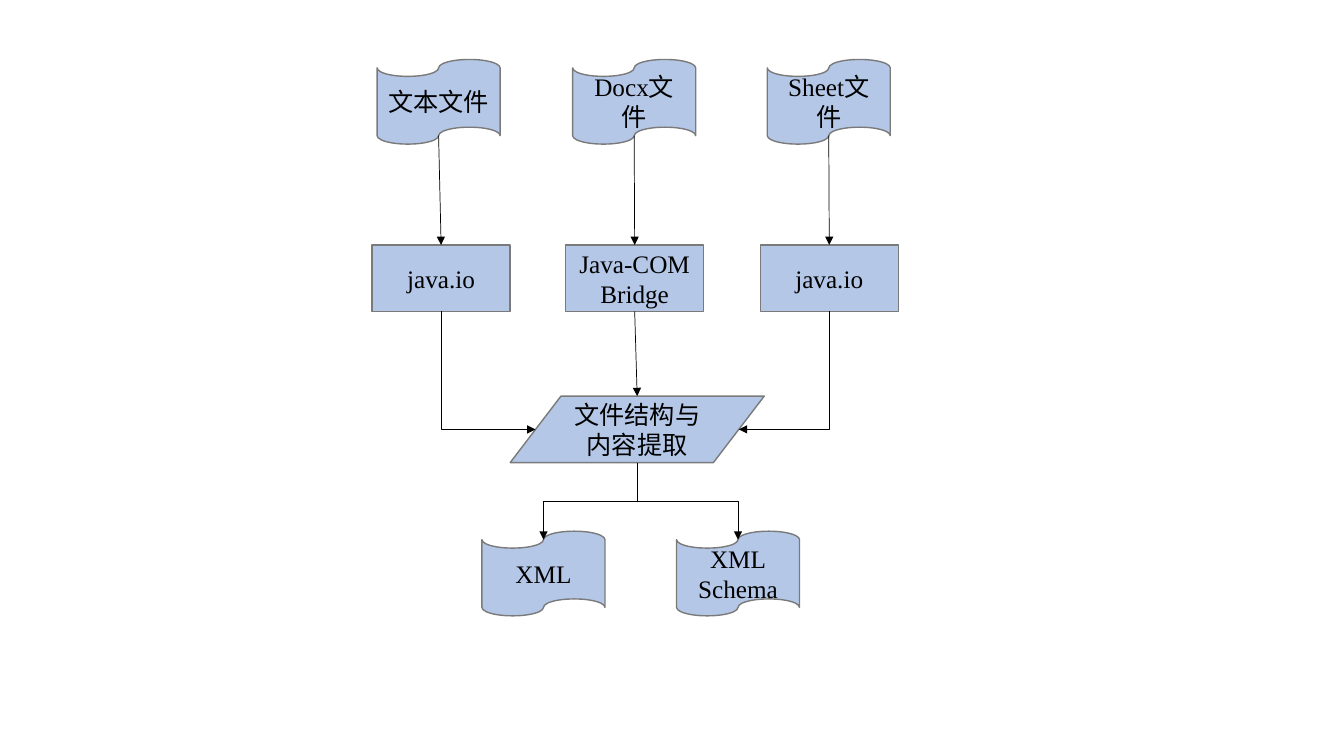
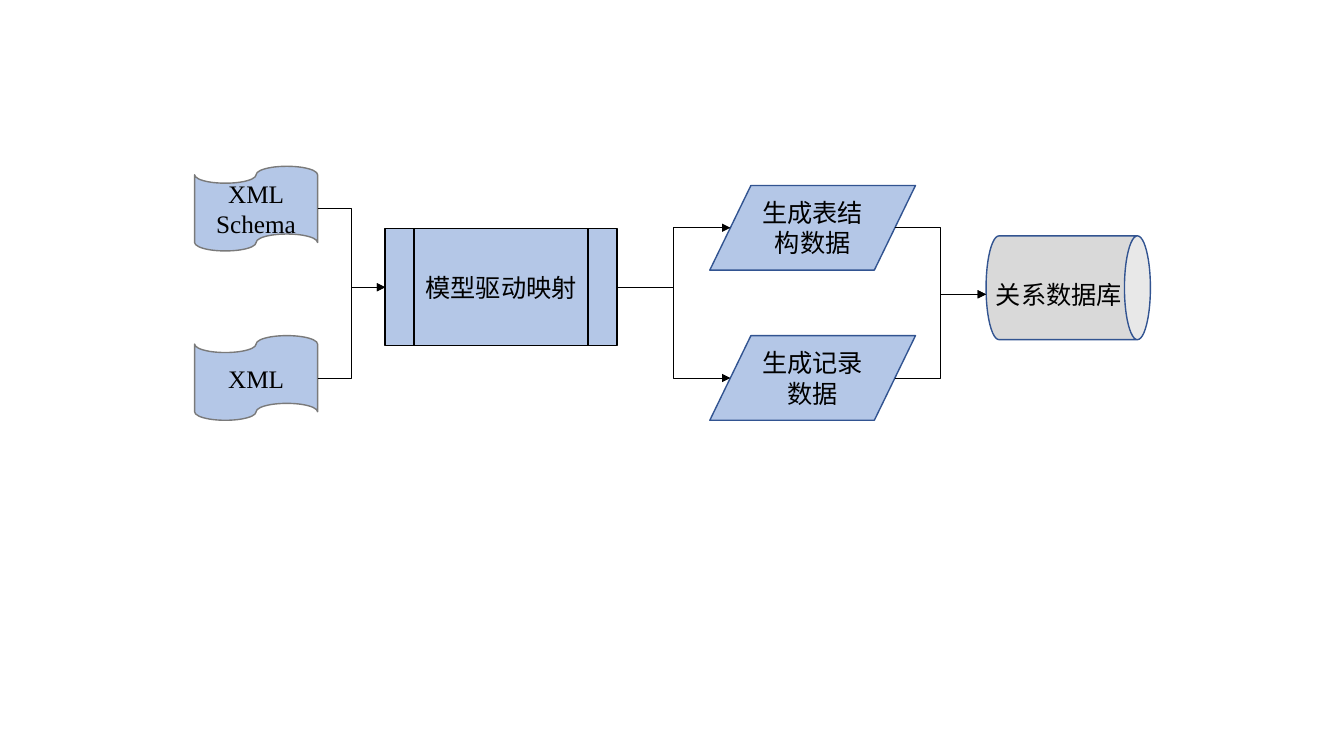
from lxml.etree import SubElement
from pptx import Presentation
from pptx.dml.color import RGBColor
from pptx.enum.shapes import MSO_CONNECTOR, MSO_SHAPE
from pptx.enum.text import MSO_ANCHOR, PP_ALIGN
from pptx.oxml.ns import qn
from pptx.util import Inches, Pt

FONT, SIZE = "Times New Roman", 18
BLUE, GREY, NAVY, BLACK, SILVER = "B4C7E7", "7A7A7A", "325491", "000000", "D9D9D9"

# kind: preset, width, height, outline, inset of side anchors, inset of top and bottom anchors
KINDS = {
    "file": (MSO_SHAPE.FLOWCHART_PUNCHED_TAPE, 1.22, 0.84, GREY, 0, 0.1),
    "reader": (MSO_SHAPE.RECTANGLE, 1.37, 0.66, GREY, 0, 0),
    "extract": (MSO_SHAPE.FLOWCHART_DATA, 2.52, 0.66, GREY, 0.1, 0),
    "output": (MSO_SHAPE.FLOWCHART_DATA, 2.04, 0.84, NAVY, 0.1, 0),
    "process": (MSO_SHAPE.FLOWCHART_PREDEFINED_PROCESS, 2.3, 1.16, BLACK, 0, 0),
}

# node: kind, text, left, top
EXTRACTION = {
    "text": ("file", "文本文件", 3.74, 0.59),
    "doc": ("file", "Docx文件", 5.68, 0.59),
    "sheet": ("file", "Sheet文件", 7.61, 0.59),
    "text_io": ("reader", "java.io", 3.69, 2.43),
    "bridge": ("reader", "Java-COM\nBridge", 5.61, 2.43),
    "sheet_io": ("reader", "java.io", 7.54, 2.43),
    "extract": ("extract", "文件结构与内容提取", 5.06, 3.93),
    "xml": ("file", "XML", 4.78, 5.27),
    "schema": ("file", "XML\nSchema", 6.71, 5.27),
}
# from node, side, to node, side
EXTRACTION_FLOWS = [
    ("text", "bottom", "text_io", "top"),
    ("doc", "bottom", "bridge", "top"),
    ("sheet", "bottom", "sheet_io", "top"),
    ("text_io", "bottom", "extract", "left"),
    ("bridge", "bottom", "extract", "top"),
    ("sheet_io", "bottom", "extract", "right"),
    ("extract", "bottom", "xml", "top"),
    ("extract", "bottom", "schema", "top"),
]

MAPPING = {
    "schema": ("file", "XML\nSchema", 1.93, 1.65),
    "xml": ("file", "XML", 1.93, 3.33),
    "tables": ("output", "生成表结构数据", 7.04, 1.84),
    "records": ("output", "生成记录数据", 7.04, 3.33),
    "mapping": ("process", "模型驱动映射", 3.82, 2.27),
}
MAPPING_FLOWS = [
    ("schema", "right", "mapping", "left"),
    ("xml", "right", "mapping", "left"),
    ("mapping", "right", "tables", "left"),
    ("mapping", "right", "records", "left"),
    ("tables", "right", "database", "left"),
    ("records", "right", "database", "left"),
]
DATABASE_TEXT = "关系数据库"
DATABASE_CAN = (10.08, 2.04, 1.03, 1.63)  # before its quarter turn
DATABASE_LABEL = (9.78, 2.72, 1.46, 0.4)


def rgb(color):
    return RGBColor.from_string(color)


def write(tf, text, align):
    tf.text = text
    for p in tf.paragraphs:
        p.alignment = align
        p.font.name, p.font.size = FONT, Pt(SIZE)
        p.font.color.rgb = rgb(BLACK)


def add_box(s, preset, box, fill, line):
    sp = s.shapes.add_shape(preset, *map(Inches, box))
    sp.shadow.inherit = False
    sp.fill.solid()
    sp.fill.fore_color.rgb = rgb(fill)
    sp.line.color.rgb = rgb(line)
    sp.line.width = Pt(1)
    return sp


def anchors(left, top, width, height, side_inset=0, end_inset=0):
    """Points where arrows meet a box; insets are shares of its size."""
    cx, cy = left + width / 2, top + height / 2
    dx, dy = width * side_inset, height * end_inset
    return {"left": (left + dx, cy), "right": (left + width - dx, cy),
            "top": (cx, top + dy), "bottom": (cx, top + height - dy)}


def add_nodes(s, nodes):
    points = {}
    for name, (kind, text, left, top) in nodes.items():
        preset, width, height, line, side_inset, end_inset = KINDS[kind]
        box = (left, top, width, height)
        sp = add_box(s, preset, box, BLUE, line)
        sp.text_frame.vertical_anchor = MSO_ANCHOR.MIDDLE
        write(sp.text_frame, text, PP_ALIGN.CENTER)
        points[name] = anchors(*box, side_inset, end_inset)
    return points


def add_arrow(s, start, end, out_side, in_side):
    """Draw straight down between centres, or bend where the route turns."""
    (x1, y1), (x2, y2) = start, end
    dx, dy = x2 - x1, y2 - y1
    downward = out_side == "bottom"
    straight = downward and abs(dx) < 0.1
    turned = downward and not straight
    if turned:  # lay the elbow out flat around its centre, then rotate it
        cx, cy = (x1 + x2) / 2, (y1 + y2) / 2
        half = dy / 2 if dx < 0 else -dy / 2
        x1, x2 = cx - half, cx + half
        y1, y2 = cy - abs(dx) / 2, cy + abs(dx) / 2
    kind = MSO_CONNECTOR.STRAIGHT if straight else MSO_CONNECTOR.ELBOW
    arrow = s.shapes.add_connector(kind, *map(Inches, (x1, y1, x2, y2)))
    arrow.line.color.rgb = rgb(BLACK)
    arrow.line.width = Pt(0.5)
    props = arrow.element.spPr
    if turned:
        degrees = 90 if dx < 0 else 270
        props.find(qn("a:xfrm")).set("rot", str(degrees * 60000))
        if in_side != "top":
            props.find(qn("a:prstGeom")).set("prst", "bentConnector2")
    SubElement(props.find(qn("a:ln")), qn("a:tailEnd"), type="triangle")
    SubElement(props, qn("a:effectLst"))


def add_flows(s, points, flows):
    for source, out_side, target, in_side in flows:
        add_arrow(s, points[source][out_side], points[target][in_side], out_side, in_side)


def add_database(s):
    can = add_box(s, MSO_SHAPE.CAN, DATABASE_CAN, SILVER, NAVY)
    can.rotation = 90
    label = s.shapes.add_textbox(*map(Inches, DATABASE_LABEL))
    label.text_frame.word_wrap = False
    write(label.text_frame, DATABASE_TEXT, PP_ALIGN.LEFT)
    return anchors(*DATABASE_LABEL)


def main():
    prs = Presentation()
    prs.slide_width, prs.slide_height = Inches(13.33), Inches(7.5)
    blank = prs.slide_layouts[6]

    s = prs.slides.add_slide(blank)
    add_flows(s, add_nodes(s, EXTRACTION), EXTRACTION_FLOWS)

    s = prs.slides.add_slide(blank)
    points = add_nodes(s, MAPPING)
    points["database"] = add_database(s)
    add_flows(s, points, MAPPING_FLOWS)

    prs.save("out.pptx")


if __name__ == "__main__":
    main()
